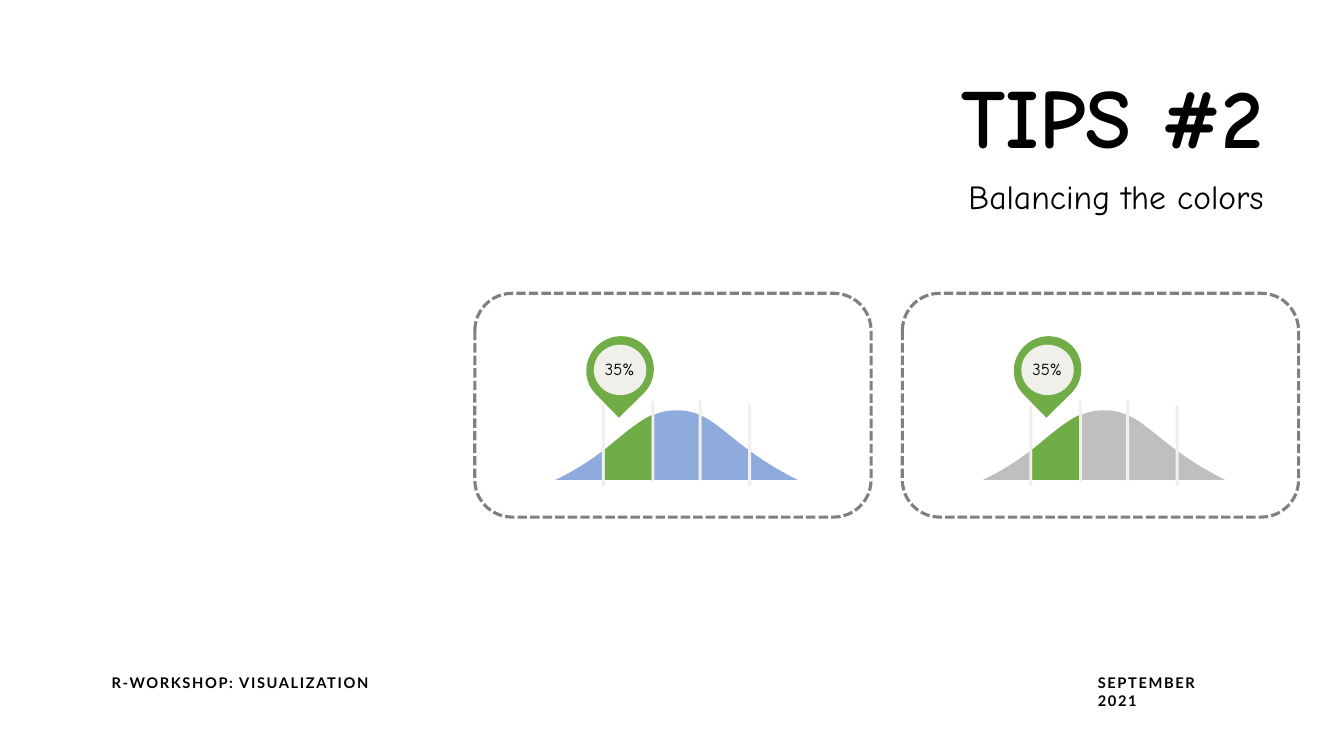
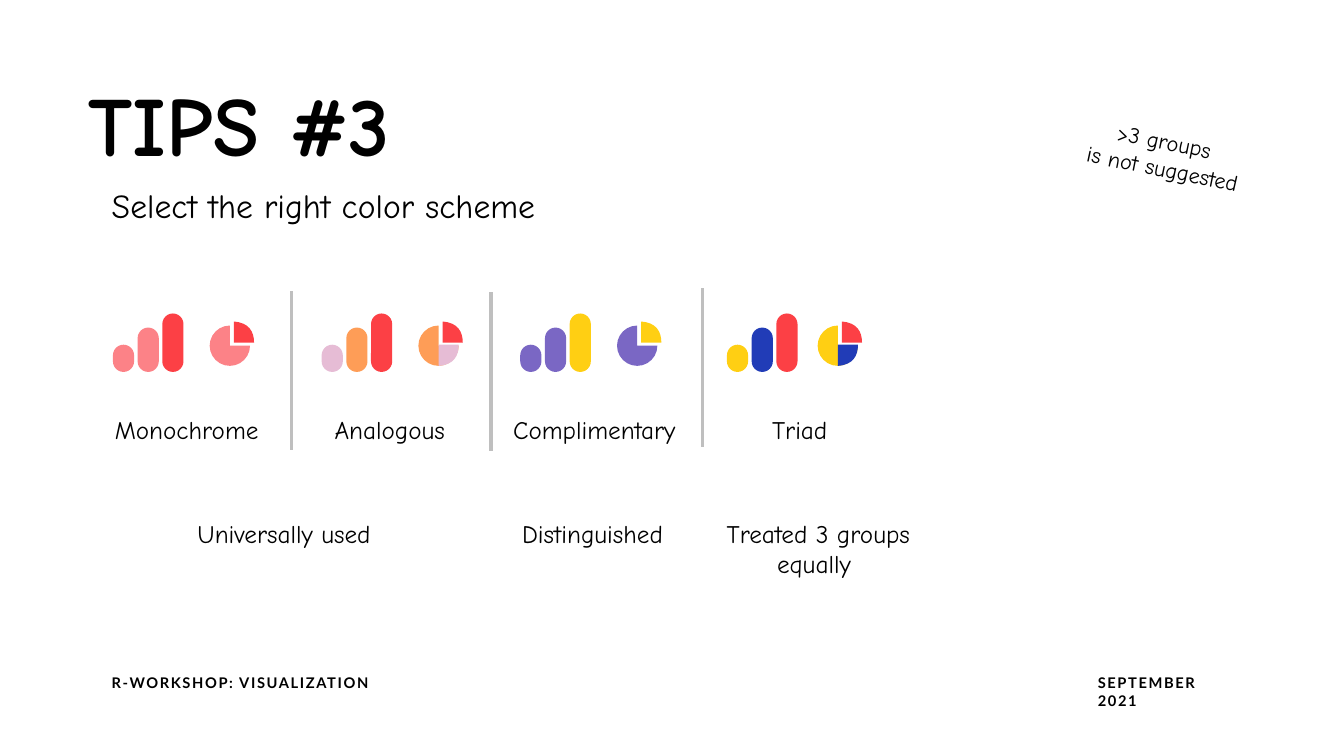
import pptx
import pptx.dml.color
import pptx.enum.dml
import pptx.enum.shapes
import pptx.enum.text
import pptx.util
from lxml import etree

Inches = pptx.util.Inches
SHAPE = pptx.enum.shapes.MSO_SHAPE
ALIGN = pptx.enum.text.PP_ALIGN
DRAWING = "{http://schemas.openxmlformats.org/drawingml/2006/main}"

# Shared look
BODY_FONT, FOOTER_FONT = "Comic Neue", "Lato"
BLACK, GRAY, DARK_GRAY = "000000", "BFBFBF", "808080"
CREAM, GREEN, BLUE = "F0EFE9", "70AD47", "8FAADC"
RED, PINK, ORANGE, LILAC = "FC4045", "FC8287", "FE9D57", "E6BCD5"
YELLOW, PURPLE, NAVY = "FFCF13", "7A67C4", "213CB7"
FOOTERS = [("R-WORKSHOP: VISUALIZATION", 1.01, 2.8), ("SEPTEMBER 2021", 10.79, 1.53)]

# Slide 1: panels as (left, curve colour); the rest is measured from a panel's left
PANELS = [(8.95, GRAY), (4.71, BLUE)]
PANEL_TOP, PANEL_WIDTH, PANEL_HEIGHT = 2.91, 3.93, 2.22
BASELINE = 4.76
CURVE = [(0.8, BASELINE), (1.43, 4.46), (1.6, 4.07), (2, 4.07),
         (2.4, 4.07), (2.48, 4.4), (3.2, BASELINE)]
SLICE = [(1.29, 4.46), (1.49, 4.29), (1.64, 4.17), (1.75, 4.12),
         (1.75, BASELINE), (1.29, BASELINE)]
TICKS = [(1.26, 4.02), (1.75, 3.98), (2.22, 3.97), (2.71, 4.02)]

# Slide 2: bar left, pie left, bar colours, pie colour, upper and lower wedge colours
SCHEMES = [
    (1.12, 2.08, (PINK, PINK, RED), PINK, RED, None),
    (3.19, 4.15, (LILAC, ORANGE, RED), ORANGE, RED, LILAC),
    (5.16, 6.12, (PURPLE, PURPLE, YELLOW), PURPLE, YELLOW, None),
    (7.21, 8.11, (YELLOW, NAVY, RED), YELLOW, RED, NAVY),
]
BAR_HEIGHTS, BAR_STEP, BAR_WIDTH, BAR_BOTTOM = (0.27, 0.44, 0.58), 0.49 / 2, 0.21, 3.69
WEDGE = [(0, 0.21), (0.15, 0.2), (0.2, 0.11), (0.2, 0), (0, 0)]
DIVIDERS = [(2.89, 2.89), (4.87, 2.9), (6.97, 2.86)]
LABELS = [
    ("Monochrome", 1.04, 4.06, 1.63), ("Analogous", 3.22, 4.06, 1.34),
    ("Complimentary", 4.99, 4.06, 1.85), ("Triad", 7.56, 4.06, 0.77),
    ("Universally used", 1.86, 5.09, 2.07), ("Distinguished", 5.08, 5.09, 1.69),
]


def color(hex_code):
    return pptx.dml.color.RGBColor.from_string(hex_code)


def write(shape, text, size, align=ALIGN.LEFT, bold=False, font=BODY_FONT):
    frame = shape.text_frame
    frame.word_wrap = True
    frame.auto_size = pptx.enum.text.MSO_AUTO_SIZE.NONE
    frame.vertical_anchor = pptx.enum.text.MSO_ANCHOR.TOP
    frame.text = text
    paragraph = frame.paragraphs[0]
    paragraph.alignment = align
    paragraph.font.name = font
    paragraph.font.size = pptx.util.Pt(size)
    paragraph.font.bold = bold
    paragraph.font.color.rgb = color(BLACK)


def add_text(slide, text, left, top, width, height, size, **style):
    box = slide.shapes.add_textbox(*map(Inches, (left, top, width, height)))
    write(box, text, size, **style)
    return box


def paint(shape, fill):
    shape.shadow.inherit = False
    shape.fill.solid()
    shape.fill.fore_color.rgb = color(fill)
    shape.line.fill.background()
    return shape


def add_filled(slide, kind, left, top, width, height, fill):
    return paint(slide.shapes.add_shape(kind, *map(Inches, (left, top, width, height))), fill)


def add_curved(slide, points, fill, left=0, top=0, flip=1, curves=1):
    """Closed outline: cubic curves of three points each, then straight sides."""
    corners = [(Inches(left + x), Inches(top + flip * y)) for x, y in points]
    builder = slide.shapes.build_freeform(*corners[0], scale=1.0)
    builder.add_line_segments(corners[1:], close=True)
    shape = paint(builder.convert_to_shape(), fill)
    segments = list(shape._element.iter(DRAWING + "lnTo"))
    for first in range(0, 3 * curves, 3):
        curve = etree.Element(DRAWING + "cubicBezTo")
        segments[first].addprevious(curve)
        for segment in segments[first:first + 3]:
            curve.append(segment[0])
            segment.getparent().remove(segment)


def add_divider(slide, x, top, length=1.57):
    line = slide.shapes.add_connector(
        pptx.enum.shapes.MSO_CONNECTOR.STRAIGHT,
        *map(Inches, (x, top, x, top + length)))
    line.line.color.rgb = color(GRAY)
    line.line.width = pptx.util.Pt(2.25)
    etree.SubElement(line._element.spPr, DRAWING + "effectLst")


def add_slide(presentation, title, left, top, align):
    slide = presentation.slides.add_slide(presentation.slide_layouts[5])
    heading = slide.shapes.title
    heading.left, heading.top, heading.width, heading.height = map(
        Inches, (left, top, 3.68, 1.11))
    write(heading, title, 60, align=align, bold=True)
    for text, footer_left, width in FOOTERS:
        footer = add_text(slide, text, footer_left, 6.64, width, 0.28, 10.5,
                          bold=True, font=FOOTER_FONT)
        footer.text_frame.paragraphs[0].runs[0]._r.get_or_add_rPr().set("spc", "120")
    return slide


def add_panel(slide, left, curve_color):
    frame = add_filled(slide, SHAPE.ROUNDED_RECTANGLE, left, PANEL_TOP,
                       PANEL_WIDTH, PANEL_HEIGHT, CREAM)
    frame.fill.background()
    frame.line.color.rgb = color(DARK_GRAY)
    frame.line.width = pptx.util.Pt(2.25)
    frame.line.dash_style = pptx.enum.dml.MSO_LINE.SQUARE_DOT
    # Distribution curve with its highlighted slice
    add_curved(slide, CURVE, curve_color, left, curves=2)
    for offset, top in TICKS:
        add_filled(slide, SHAPE.RECTANGLE, left + offset, top, 0.03, 0.8, CREAM)
    add_curved(slide, SLICE, GREEN, left)
    # Pin with the share
    pin = add_filled(slide, SHAPE.TEAR, left + 1.1, 3.34, 0.68, 0.66, GREEN)
    pin.rotation = 135.6
    add_filled(slide, SHAPE.OVAL, left + 1.18, 3.42, 0.52, 0.5, CREAM)
    add_text(slide, "35%", left + 1.19, 3.51, 0.53, 0.3, 12)


def add_scheme(slide, bar_left, pie_left, bar_colors, pie_color, upper, lower):
    for index, (height, fill) in enumerate(zip(BAR_HEIGHTS, bar_colors)):
        bar = add_filled(slide, SHAPE.ROUNDED_RECTANGLE, bar_left + index * BAR_STEP,
                         BAR_BOTTOM - height, BAR_WIDTH, height, fill)
        bar.adjustments[0] = 0.5
    add_filled(slide, SHAPE.PIE, pie_left, 3.23, 0.4, 0.4, pie_color)
    add_curved(slide, WEDGE, upper, pie_left + 0.24, 3.4, flip=-1)
    if lower:
        add_curved(slide, WEDGE, lower, pie_left + 0.2, 3.42)


def main():
    presentation = pptx.Presentation()
    presentation.slide_width, presentation.slide_height = Inches(13.33), Inches(7.5)

    # Slide 1: balancing the colors
    slide = add_slide(presentation, "TIPS #2", 8.95, 0.59, ALIGN.RIGHT)
    add_text(slide, "Balancing the colors", 9.38, 1.7, 3.25, 0.5, 24, align=ALIGN.RIGHT)
    for panel in PANELS:
        add_panel(slide, *panel)

    # Slide 2: color schemes
    slide = add_slide(presentation, "TIPS #3", 0.78, 0.67, ALIGN.LEFT)
    add_text(slide, "Select the right color scheme", 1.01, 1.79, 4.75, 0.5, 24)
    for scheme in SCHEMES:
        add_scheme(slide, *scheme)
    for divider in DIVIDERS:
        add_divider(slide, *divider)
    for text, left, top, width in LABELS:
        add_text(slide, text, left, top, width, 0.4, 18)
    add_text(slide, "Treated 3 groups\vequally ", 7.04, 5.09, 2.15, 0.71, 18,
             align=ALIGN.CENTER)
    note = add_text(slide, ">3 groups \vis not suggested", 10.63, 1.22, 1.85, 0.64, 16,
                    align=ALIGN.CENTER)
    note.rotation = 11.3

    presentation.save("out.pptx")


if __name__ == "__main__":
    main()
